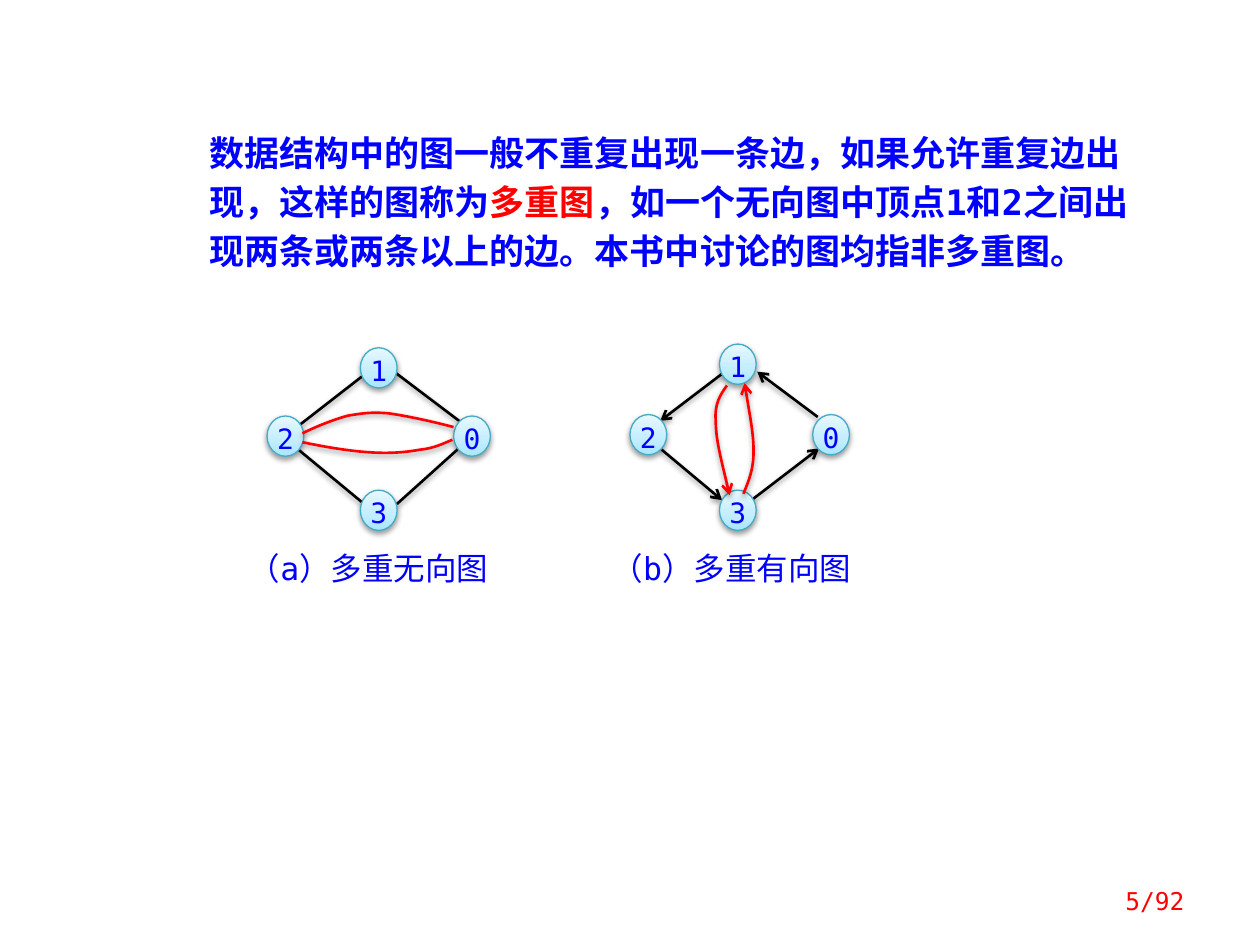
from copy import deepcopy

from lxml.etree import SubElement
from pptx import Presentation
from pptx.dml.color import RGBColor
from pptx.enum.shapes import MSO_CONNECTOR, MSO_SHAPE
from pptx.enum.text import MSO_ANCHOR, MSO_AUTO_SIZE, PP_ALIGN
from pptx.oxml.ns import qn
from pptx.util import Pt

FONT = "DejaVu Sans Mono"
BLUE = RGBColor(0x00, 0x00, 0xFF)
RED = RGBColor(0xFF, 0x00, 0x00)
BLACK = RGBColor(0x00, 0x00, 0x00)
WHITE = RGBColor(0xFF, 0xFF, 0xFF)
RIM = RGBColor(0x46, 0xAA, 0xC5)
SKY = RGBColor(0xA7, 0xE6, 0xFF)
SKY_MIDDLE = RGBColor(0xC1, 0xED, 0xFF)
SKY_LIGHT = RGBColor(0xE7, 0xF8, 0xFF)

NODE_WIDTH, NODE_HEIGHT = 21, 23

# Positions in points, relative to the top left corner of each graph
UNDIRECTED = {
    "nodes": {"1": (53.3, 0), "0": (106.6, 39), "2": (0, 39), "3": (53.3, 81.4)},
    "edges": [
        ((18, 58.3), (55.5, 89.3)),
        ((74.2, 89.3), (109.5, 57.6)),
        ((73.5, 14.4), (111.6, 43.2)),
        ((56.9, 14.4), (15.2, 46.8)),
    ],
    "curves": [
        [(20.2, 49), (28.8, 44.7), (38.2, 41.1), (46.1, 38.9), (54.8, 37.5),
         (59.1, 36.7), (69.2, 37.5), (79.2, 38.9), (92.9, 41.8), (106.6, 45.4)],
        [(105.9, 52.6), (100.8, 54.7), (95.1, 57.6), (87.2, 58.3), (79.2, 59.8),
         (69.9, 60.5), (59.1, 59.8), (47.6, 59.1), (33.9, 56.9), (20.2, 54)],
    ],
}
DIRECTED = {
    "nodes": {"1": (51.1, 0), "0": (104.4, 40.3), "2": (0, 40.3), "3": (51.1, 83.5)},
    "edges": [
        ((17.3, 59.7), (52.6, 89.2)),
        ((68.4, 90), (108, 59.7)),
        ((107.3, 41.7), (72.7, 15.8)),
        ((53.3, 16.5), (17.3, 43.9)),
    ],
    "curves": [
        [(55.4, 23.7), (51.8, 28.8), (48.2, 33.8), (49, 43.9), (49, 54.7),
         (53.3, 70.5), (56.9, 86.4)],
        [(64.8, 85.6), (67.7, 78.4), (70.6, 72), (70.6, 61.2), (70.6, 51.1),
         (67.7, 36.7), (65.5, 22.3)],
    ],
}


def add_soft_shadow(shape):
    effects = SubElement(shape._element.spPr, qn("a:effectLst"))
    shadow = SubElement(effects, qn("a:outerShdw"), blurRad=str(Pt(3.1)),
                        dist=str(Pt(1.6)), dir="5400000", rotWithShape="0")
    color = SubElement(shadow, qn("a:srgbClr"), val=str(BLACK))
    SubElement(color, qn("a:alpha"), val="38000")


def style_edge(edge, color, directed):
    edge.line.color.rgb = color
    edge.line.width = Pt(1.5)
    if directed:
        line = edge._element.spPr.find(qn("a:ln"))
        SubElement(line, qn("a:tailEnd"), type="arrow")
    add_soft_shadow(edge)


def set_text(shape, text, size, color, align):
    frame = shape.text_frame
    frame.word_wrap = True
    para = frame.paragraphs[0]
    para.text = text
    para.alignment = align
    para.font.name = FONT
    para.font.size = Pt(size)
    para.font.color.rgb = color
    return frame


def set_label(shape, text, size):
    frame = set_text(shape, text, size, BLUE, PP_ALIGN.CENTER)
    frame.vertical_anchor = MSO_ANCHOR.TOP
    frame.margin_left = frame.margin_right = 0
    frame.margin_top = frame.margin_bottom = 0


def add_curve(page, points, directed):
    """Draw a Bezier path: a start point, then three points per segment."""
    points = [(Pt(x), Pt(y)) for x, y in points]
    builder = page.shapes.build_freeform(*points[0])
    builder.add_line_segments(points[1:], close=False)
    curve = builder.convert_to_shape()
    outline = next(curve._element.iter(qn("a:path")))
    steps = outline.findall(qn("a:lnTo"))
    for first in range(0, len(steps), 3):
        segment = SubElement(outline, qn("a:cubicBezTo"))
        for step in steps[first:first + 3]:
            segment.append(step[0])
            outline.remove(step)
    curve.fill.background()
    style_edge(curve, RED, directed)


def add_node(page, name, left, top):
    node = page.shapes.add_shape(MSO_SHAPE.OVAL, Pt(left), Pt(top),
                                 Pt(NODE_WIDTH), Pt(NODE_HEIGHT))
    node.fill.gradient()
    node.fill.gradient_angle = 90
    stops = node.fill.gradient_stops
    first = stops[0]._gs
    first.addnext(deepcopy(first))
    stops = node.fill.gradient_stops
    for stop, position, color in zip(stops, (0, 0.35, 1), (SKY, SKY_MIDDLE, SKY_LIGHT)):
        stop.position = position
        stop.color.rgb = color
    node.line.color.rgb = RIM
    node.line.width = Pt(0.75)
    add_soft_shadow(node)
    set_label(node, name, 16)


def add_graph(page, left, top, graph, directed):
    def place(points):
        return [(left + x, top + y) for x, y in points]

    for ends in graph["edges"]:
        (x1, y1), (x2, y2) = place(ends)
        edge = page.shapes.add_connector(MSO_CONNECTOR.STRAIGHT,
                                         Pt(x1), Pt(y1), Pt(x2), Pt(y2))
        style_edge(edge, BLACK, directed)
    for name, (x, y) in graph["nodes"].items():
        add_node(page, name, left + x, top + y)
    for points in graph["curves"]:
        add_curve(page, place(points), directed)


def add_caption(page, left, top, width, height, text):
    caption = page.shapes.add_shape(MSO_SHAPE.RECTANGLE, Pt(left), Pt(top),
                                    Pt(width), Pt(height))
    caption.shadow.inherit = False
    caption.fill.solid()
    caption.fill.fore_color.rgb = WHITE
    caption.line.fill.background()
    set_label(caption, text, 18)


def add_explanation(page, left, top, width, height):
    box = page.shapes.add_textbox(Pt(left), Pt(top), Pt(width), Pt(height))
    frame = box.text_frame
    frame.word_wrap = True
    frame.auto_size = MSO_AUTO_SIZE.SHAPE_TO_FIT_TEXT
    para = frame.paragraphs[0]
    para.line_spacing = Pt(28)
    para.font.name = FONT
    para.font.size = Pt(20)
    para.font.bold = True
    for text, color in (
        ("数据结构中的图一般不重复出现一条边，如果允许重复边出现，这样的图称为", BLUE),
        ("多重图", RED),
        ("，如一个无向图中顶点1和2之间出现两条或两条以上的边。本书中讨论的图均指非多重图。", BLUE),
    ):
        span = para.add_run()
        span.text = text
        span.font.color.rgb = color


def add_page_number(page, left, top, width, height):
    box = page.shapes.add_textbox(Pt(left), Pt(top), Pt(width), Pt(height))
    frame = set_text(box, "5/92", 14, RED, PP_ALIGN.RIGHT)
    frame.vertical_anchor = MSO_ANCHOR.MIDDLE


def main():
    deck = Presentation()
    deck.slide_width, deck.slide_height = Pt(720), Pt(540)
    page = deck.slides.add_slide(deck.slide_layouts[6])

    add_explanation(page, 112.5, 67.5, 545.6, 92)
    # Captions lie below the graphs and under their curves
    add_caption(page, 134.6, 313.9, 152, 23, "（a）多重无向图")
    add_caption(page, 348.5, 313.9, 139, 23, "（b）多重有向图")
    add_graph(page, 152.6, 198.7, UNDIRECTED, directed=False)
    add_graph(page, 360, 196.6, DIRECTED, directed=True)
    add_page_number(page, 596.2, 500.4, 87.8, 28.8)
    deck.save("out.pptx")


if __name__ == "__main__":
    main()
